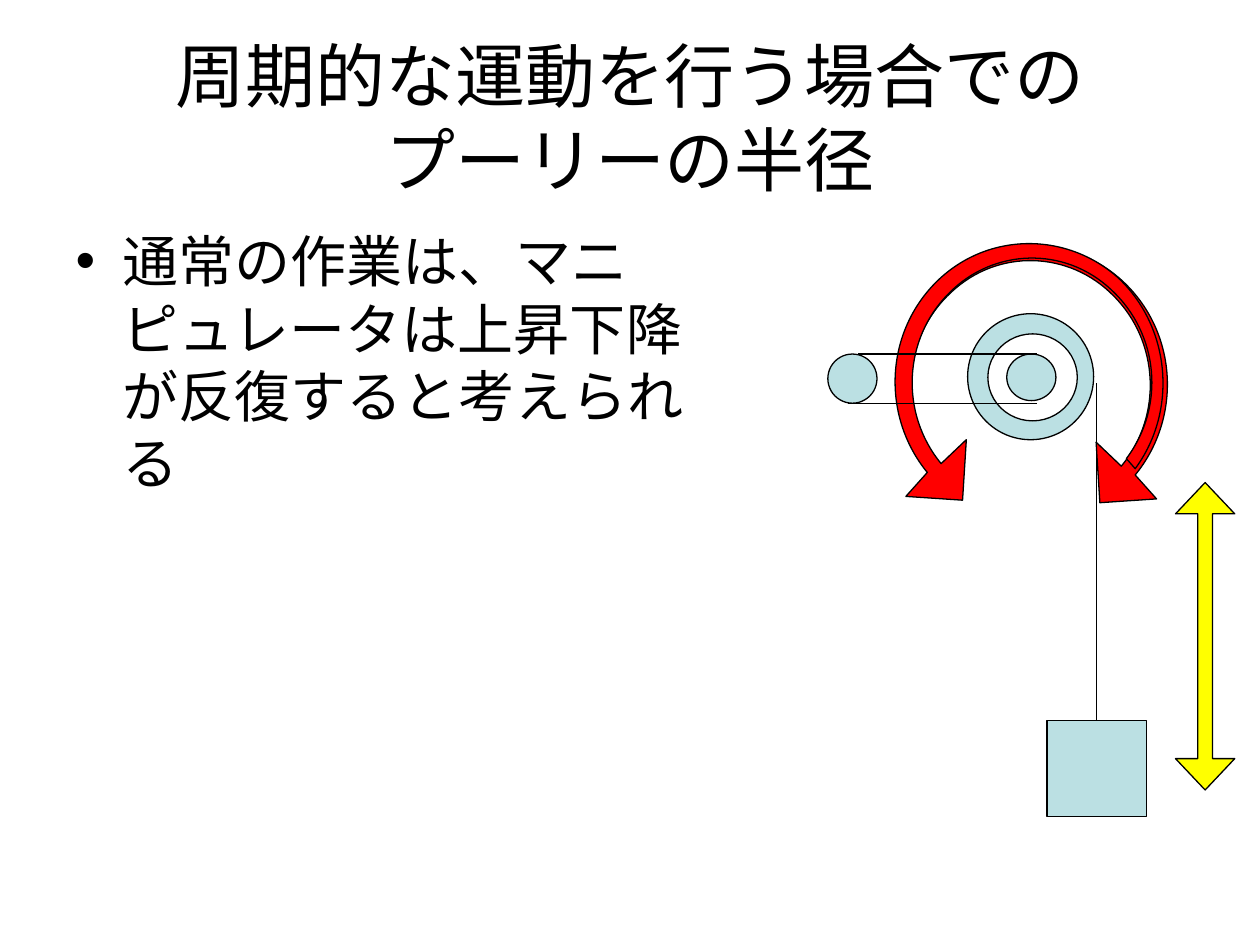
"""Build a slide about the pulley radius in periodic motion."""
from dataclasses import dataclass

from lxml.etree import SubElement
from pptx import Presentation
from pptx.dml.color import RGBColor as Rgb
from pptx.enum.shapes import MSO_CONNECTOR as Link
from pptx.enum.shapes import MSO_SHAPE as Kind
from pptx.enum.text import MSO_ANCHOR as Anchor
from pptx.enum.text import MSO_AUTO_SIZE as Fit
from pptx.enum.text import PP_ALIGN as Align
from pptx.oxml.ns import qn
from pptx.util import Inches, Pt

HUES = {"ink": "000000", "pale": "BBE0E3", "red": "FF0000",
        "gold": "FFFF00", "white": "FFFFFF"}
LEFT, TOP, WIDE, HIGH = 7.13, 1.94, 2.13, 2.2
RING = [
    ("moveTo", [(8.9, 3.7)]),
    ("cubicBezTo", [(9.23, 3.3), (9.2, 2.71), (8.84, 2.35)]),
    ("cubicBezTo", [(8.49, 1.99), (7.92, 1.97), (7.55, 2.32)]),
    ("cubicBezTo", [(7.17, 2.67), (7.12, 3.25), (7.43, 3.66)]),
    ("lnTo", [(7.36, 3.74)]),
    ("cubicBezTo", [(7.02, 3.28), (7.08, 2.62), (7.49, 2.23)]),
    ("cubicBezTo", [(7.91, 1.85), (8.55, 1.86), (8.95, 2.27)]),
    ("cubicBezTo", [(9.35, 2.68), (9.37, 3.33), (9.01, 3.77)]),
    ("lnTo", [(9.18, 3.96)]),
    ("lnTo", [(8.73, 3.99)]),
    ("lnTo", [(8.7, 3.51)]),
    ("close", []),
]


@dataclass
class Part:
    kind: Kind
    box: tuple[float, float, float, float]
    hue: str = "pale"
    bends: tuple[int, ...] = ()


@dataclass
class Cord:
    start: tuple[float, float]
    end: tuple[float, float]


@dataclass
class Spin:
    flip: bool


ITEMS = [
    Part(Kind.OVAL, (7.68, 2.49, 1, 1)),
    Cord((8.7, 3.04), (8.7, 5.72)),
    Part(Kind.RECTANGLE, (8.31, 5.72, 0.79, 0.76)),
    Spin(False),
    Spin(True),
    Part(Kind.UP_DOWN_ARROW, (9.33, 3.83, 0.47, 2.44), "gold",
         (25000, 52900)),
    Part(Kind.OVAL, (7.84, 2.65, 0.71, 0.69), "white"),
    Part(Kind.OVAL, (6.57, 2.81, 0.39, 0.39)),
    Part(Kind.OVAL, (7.99, 2.81, 0.39, 0.37)),
    Cord((6.81, 2.81), (8.23, 2.81)),
    Cord((6.73, 3.2), (8.23, 3.2)),
]


def tint(name: str) -> Rgb:
    return Rgb.from_string(HUES[name])


def edge(shape) -> None:
    shape.line.color.rgb = tint("ink")
    shape.line.width = Pt(0.75)


def paint(shape, hue: str) -> None:
    shape.shadow.inherit = False
    shape.fill.solid()
    shape.fill.fore_color.rgb = tint(hue)
    edge(shape)


def add_part(group, part: Part) -> None:
    shape = group.shapes.add_shape(part.kind, *map(Inches, part.box))
    guides = shape._element.spPr.find(".//" + qn("a:avLst"))
    for spot, bend in enumerate(part.bends, 1):
        SubElement(guides, qn("a:gd"), name=f"adj{spot}", fmla=f"val {bend}")
    paint(shape, part.hue)


def add_cord(group, cord: Cord) -> None:
    line = group.shapes.add_connector(
        Link.STRAIGHT, *map(Inches, cord.start + cord.end))
    edge(line)
    SubElement(line._element.spPr, qn("a:effectLst"))


def place(x: float, y: float, flip: bool) -> dict[str, str]:
    if flip:
        x, y = 16.37 - x, y - 0.02
    return {"x": str(int(Inches(x - LEFT))), "y": str(int(Inches(y - TOP)))}


def add_spin(group, spin: Spin) -> None:
    pen = group.shapes.build_freeform(Inches(LEFT), Inches(TOP))
    pen.add_line_segments([(Inches(LEFT + WIDE), Inches(TOP + HIGH))])
    shape = pen.convert_to_shape()
    trace = shape._element.spPr.find(".//" + qn("a:path"))
    for old in list(trace):
        trace.remove(old)
    for verb, dots in RING:
        step = SubElement(trace, qn("a:" + verb))
        for x, y in dots:
            SubElement(step, qn("a:pt"), **place(x, y, spin.flip))
    paint(shape, "red")


def write(holder, text: str, box: tuple, size: int, align: Align,
          anchor: Anchor) -> None:
    holder.left, holder.top, holder.width, holder.height = map(Inches, box)
    frame = holder.text_frame
    frame.text = text
    frame.word_wrap = True
    frame.auto_size = Fit.NONE
    frame.vertical_anchor = anchor
    para = frame.paragraphs[0]
    para.alignment = align
    para.space_before = Pt(0)
    for run in para.runs:
        run.font.name = "Arial"
        run.font.size = Pt(size)
        run.font.color.rgb = tint("ink")


def main() -> None:
    deck = Presentation()
    deck.slide_width, deck.slide_height = Inches(10), Inches(7.5)
    slide = deck.slides.add_slide(deck.slide_layouts[1])
    write(slide.shapes.title, "周期的な運動を行う場合での\vプーリーの半径",
          (0.5, 0.3, 9, 1.25), 40, Align.CENTER, Anchor.MIDDLE)
    write(slide.placeholders[1],
          "通常の作業は、マニピュレータは上昇下降が反復すると考えられる",
          (0.5, 1.75, 5.13, 4.95), 32, Align.LEFT, Anchor.TOP)
    group = slide.shapes.add_group_shape()
    tools = {Part: add_part, Cord: add_cord, Spin: add_spin}
    for item in ITEMS:
        tools[type(item)](group, item)
    deck.save("out.pptx")


if __name__ == "__main__":
    main()
